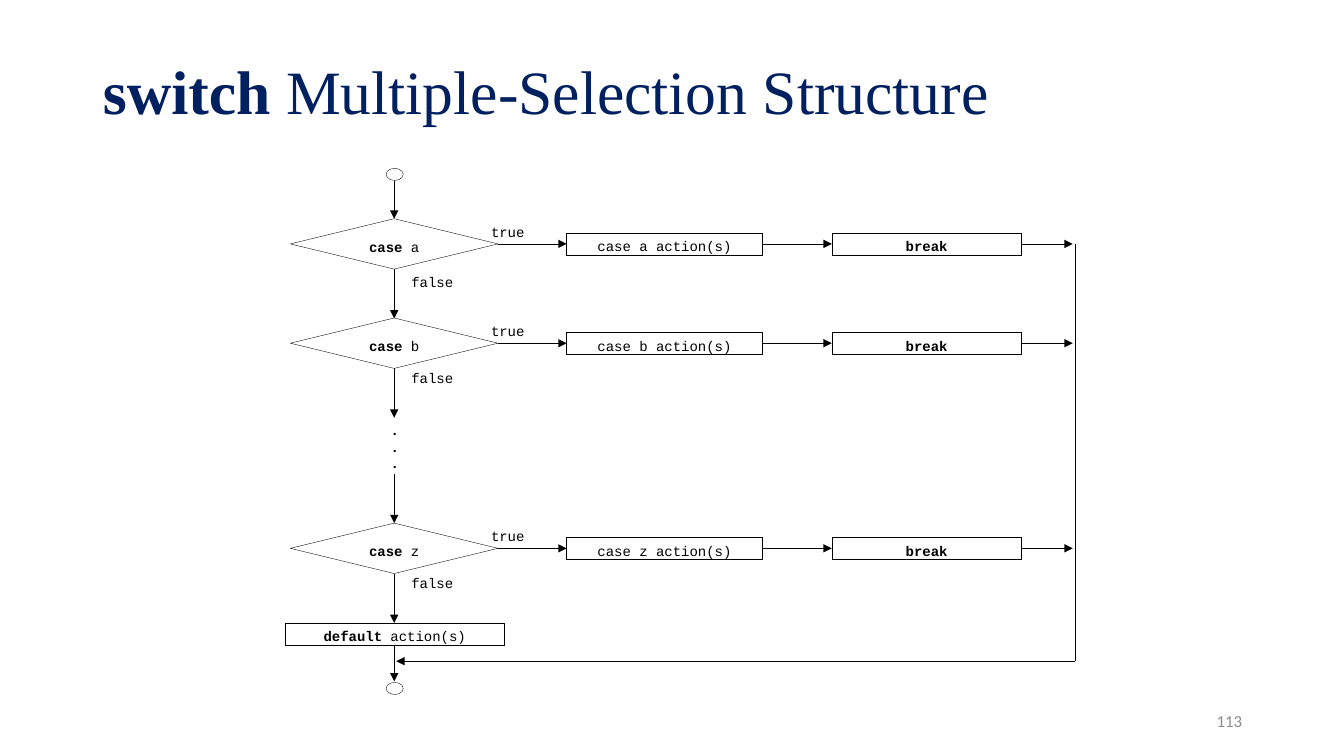
from lxml.etree import SubElement
from pptx import Presentation
from pptx.dml.color import RGBColor
from pptx.enum.shapes import MSO_CONNECTOR, MSO_SHAPE
from pptx.enum.text import MSO_ANCHOR, PP_ALIGN
from pptx.oxml.ns import qn
from pptx.util import Inches, Pt

COLORS = {"title": "002060", "ink": "000000", "paper": "FFFFFF", "number": "8C8C8C"}
MONO = "Courier New"

prs = Presentation()
prs.slide_width, prs.slide_height = Inches(13.33), Inches(7.5)
slide = prs.slides.add_slide(prs.slide_layouts[6])


def add_node(kind, left, top, width, height, lines=(), align=PP_ALIGN.CENTER,
             inset=0, font=MONO, size=10, color="ink"):
    """Add an outlined shape, or a plain text box if kind is None; lines hold (text, bold) runs."""
    place = [Inches(v) for v in (left, top, width, height)]
    if kind is None:
        node = slide.shapes.add_textbox(*place)
    else:
        node = slide.shapes.add_shape(kind, *place)
        node.shadow.inherit = False
        node.fill.solid()
        node.fill.fore_color.rgb = RGBColor.from_string(COLORS["paper"])
        node.line.color.rgb = RGBColor.from_string(COLORS["ink"])
        node.line.width = Pt(0.25)
    frame = node.text_frame
    frame.word_wrap = True
    frame.vertical_anchor = MSO_ANCHOR.TOP
    frame.margin_left = frame.margin_right = frame.margin_bottom = 0
    frame.margin_top = Inches(inset)
    for i, line in enumerate(lines):
        paragraph = frame.paragraphs[0] if i == 0 else frame.add_paragraph()
        paragraph.alignment = align
        for text, bold in line:
            run = paragraph.add_run()
            run.text = text
            run.font.name, run.font.size, run.font.bold = font, Pt(size), bold
            run.font.color.rgb = RGBColor.from_string(COLORS[color])
    return frame


def add_flow(x1, y1, x2, y2, arrow=True):
    flow = slide.shapes.add_connector(
        MSO_CONNECTOR.STRAIGHT, Inches(x1), Inches(y1), Inches(x2), Inches(y2))
    flow.line.color.rgb = RGBColor.from_string(COLORS["ink"])
    flow.line.width = Pt(0.25)
    if arrow:
        SubElement(flow.line._get_or_add_ln(), qn("a:tailEnd"), type="triangle")
    SubElement(flow._element.spPr, qn("a:effectLst"))


# Title and slide number
title = add_node(None, 1.02, 0.4, 11.3, 1.08,
                 [[("switch", True), (" Multiple-Selection Structure", False)]],
                 PP_ALIGN.LEFT, font="Times New Roman", size=44, color="title")
title.vertical_anchor = MSO_ANCHOR.MIDDLE
title.paragraphs[0].line_spacing = 0.9
number = add_node(None, 9.42, 6.95, 2.9, 0.4, [[("113", False)]], PP_ALIGN.RIGHT,
                  font="Calibri", size=12, color="number")
number.vertical_anchor = MSO_ANCHOR.MIDDLE

# Columns of the flowchart
MAIN_X = 3.91
CASE_LEFT, CASE_RIGHT = 2.88, 4.94
ACTION_LEFT, ACTION_RIGHT = 5.62, 7.56
BREAK_LEFT, BREAK_RIGHT = 8.25, 10.13
RETURN_X, RETURN_Y = 10.66, 6.56
BOX_HEIGHT, DIAMOND_HEIGHT = 0.22, 0.5

# Entry and exit
for terminal_top in (1.67, 6.77):
    add_node(MSO_SHAPE.OVAL, MAIN_X - 0.08, terminal_top, 0.17, 0.12)
add_flow(MAIN_X, 1.8, MAIN_X, 2.17)

# One row per case: middle height and top of the "false" label
for case, middle, false_top in (("a", 2.42, 2.71), ("b", 3.405, 3.67), ("z", 5.44, 5.7)):
    add_node(MSO_SHAPE.DIAMOND, CASE_LEFT, middle - DIAMOND_HEIGHT / 2,
             CASE_RIGHT - CASE_LEFT, DIAMOND_HEIGHT,
             [[("case", True), (f" {case}", False)]], inset=0.07)
    add_node(None, 4.87, middle - 0.205, 0.61, 0.24, [[("true", False)]], PP_ALIGN.LEFT)
    add_node(None, 4.08, false_top, 0.74, 0.24, [[("false", False)]], PP_ALIGN.LEFT)
    for left, right, text, bold in (
            (ACTION_LEFT, ACTION_RIGHT, f"case {case} action(s)", False),
            (BREAK_LEFT, BREAK_RIGHT, "break", True)):
        add_node(MSO_SHAPE.RECTANGLE, left, middle - BOX_HEIGHT / 2, right - left,
                 BOX_HEIGHT, [[(text, bold)]], inset=0.05)
    for start, end in ((CASE_RIGHT, ACTION_LEFT), (ACTION_RIGHT, BREAK_LEFT),
                       (BREAK_RIGHT, 10.64)):
        add_flow(start, middle, end, middle)
    add_flow(MAIN_X, middle + 0.25, MAIN_X, middle + 0.74)

# Omitted cases
add_node(None, 3.83, 4.18, 0.17, 0.6, [[(".", True)]] * 3)
add_flow(MAIN_X, 4.7, MAIN_X, 5.19)

# Default action and return path
add_node(MSO_SHAPE.RECTANGLE, 2.83, 6.18, 2.17, BOX_HEIGHT,
         [[("default", True), (" action(s)", False)]], inset=0.05)
add_flow(MAIN_X, 6.4, MAIN_X, 6.76)
add_flow(RETURN_X, 2.42, RETURN_X, RETURN_Y, arrow=False)
add_flow(RETURN_X, RETURN_Y, 3.93, RETURN_Y)

prs.save("out.pptx")
